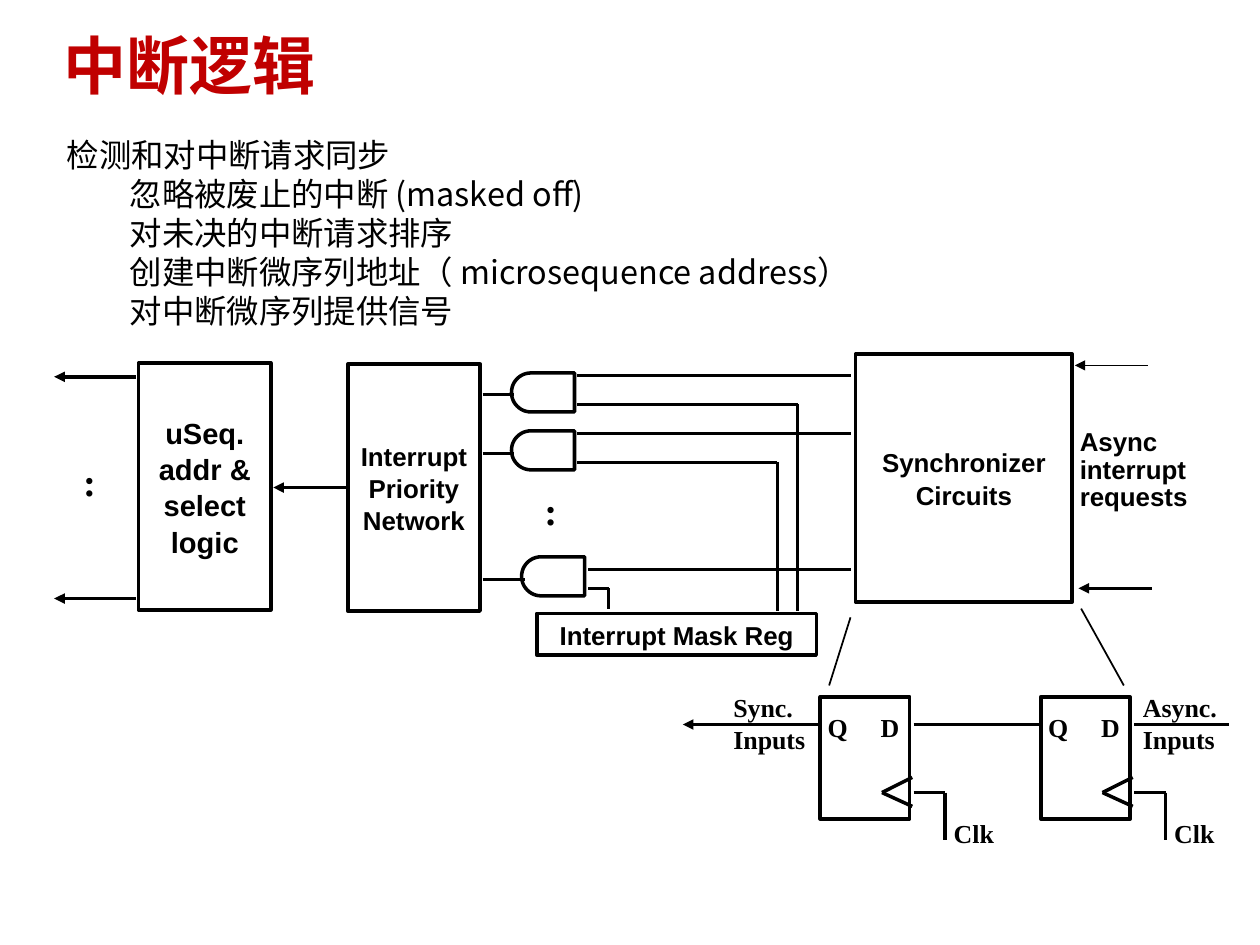
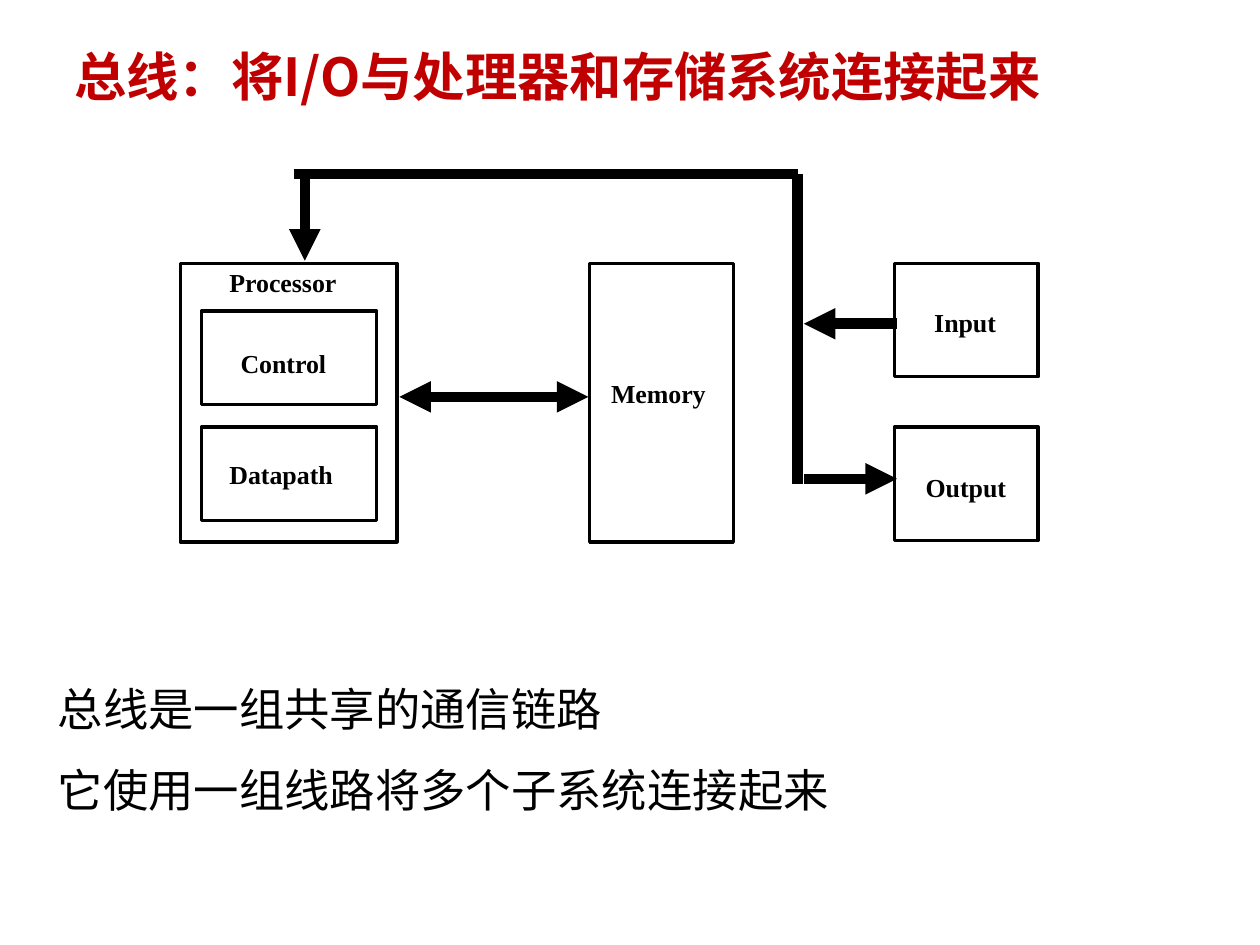
from itertools import pairwise
from math import cos, pi, sin

from pptx import Presentation
from pptx.dml.color import RGBColor
from pptx.enum.shapes import MSO_CONNECTOR, MSO_SHAPE
from pptx.enum.text import MSO_ANCHOR as ANCHOR, MSO_AUTO_SIZE, PP_ALIGN as ALIGN
from pptx.oxml.ns import qn
from pptx.oxml.xmlchemy import OxmlElement
from pptx.util import Pt

COLORS = {"title": "C00000", "ink": "000000"}
CJK, SANS, SERIF = "Noto Sans CJK SC", "Arial", "Times New Roman"
LABEL_SIZE = 14.8
LABEL_INSETS = (6.5, 2.9)
LABEL_HEIGHT = 24.5

# Interrupt logic: frames are (left, top, width, height), wires are point lists
LOGIC_TITLE = ("中断逻辑", 36, (36, 11.5, 263.5, 46))
LOGIC_BODY = [
    "检测和对中断请求同步",
    "忽略被废止的中断 (masked off)",
    "对未决的中断请求排序",
    "创建中断微序列地址（ microsequence address）",
    "对中断微序列提供信号",
]
LOGIC_BLOCKS = [
    (["Synchronizer", "Circuits"], (488.9, 202.3, 123.8, 141.8), LABEL_SIZE),
    (["Interrupt Mask Reg"], (306.7, 350.6, 159.8, 23.8), LABEL_SIZE),
    (["Interrupt", "Priority", "Network"], (198.7, 208.1, 75.6, 141.1), LABEL_SIZE),
    (["uSeq.", "addr &", "select", "logic"], (79.2, 207.4, 75.6, 141.1), 16.6),
]
GATES = [(292.3, 213.1), (292.3, 246.2), (298.1, 318.2)]
GATE_WIDTH, GATE_HEIGHT = 36, 22.3
LOGIC_WIRES = [
    [(329.8, 214.6), (486, 214.6)],
    [(329.8, 247.7), (486, 247.7)],
    [(336.2, 325.4), (486, 325.4)],
    [(329.8, 231.1), (455.8, 231.1), (455.8, 349.2)],
    [(329.8, 264.2), (444.2, 264.2), (444.2, 349.2)],
    [(336.2, 336.2), (347.8, 336.2), (347.8, 347.8)],
    [(275.8, 225.4), (293.8, 225.4)],
    [(275.8, 259.2), (293.8, 259.2)],
    [(275.8, 331.2), (300.2, 331.2)],
    [(522, 414), (594, 414)],
    [(648, 414), (702, 414)],
]
LOGIC_ARROWS = [
    ((655.9, 208.8), (614.2, 208.8), 1),
    ((658.1, 336.2), (616.3, 336.2), 2),
    ((198, 278.6), (156.2, 278.6), 2),
    ((77.8, 215.3), (31, 215.3), 2),
    ((77.8, 342), (31, 342), 2),
    ((468, 414), (390.2, 414), 2),
]
ZOOM_LINES = [
    [(486, 352.8), (473.8, 391.7)],
    [(617.8, 347.8), (642.2, 391.7)],
]
FLIP_FLOP_LEFTS = (468.7, 594.7)
LOGIC_LABELS = [
    (["Async.", "Inputs"], (646.6, 391.7, 56.2, 42.5), LABEL_SIZE),
    (["Sync.", "Inputs"], (412.6, 391.7, 54.7, 42.5), LABEL_SIZE),
    ([":"], (41, 257.8, 20.9, 33.1), 22.1),
    ([":"], (304.6, 274.3, 20.9, 33.1), 22.1),
]
REQUESTS = (["Async", "interrupt", "requests"], (612.7, 243.4, 71.3, 49.7))

# Bus
BUS_TITLE = ("总线：将I/O与处理器和存储系统连接起来", 29.9, (42.5, 22.3, 635, 38.2))
BUS_BODY = ["总线是一组共享的通信链路", "它使用一组线路将多个子系统连接起来"]
# name, frame, label left, label top, label width, alignment
BUS_UNITS = [
    ("Control", (115.2, 177.8, 100.1, 53.3), 131, 195.1, 62.6, ALIGN.LEFT),
    ("Datapath", (115.2, 244.1, 100.1, 53.3), 124.6, 258.5, 72.7, ALIGN.LEFT),
    ("Memory", (337, 150.5, 82.1, 159.1), 342.7, 212.4, 67.7, ALIGN.LEFT),
    ("Processor", (103, 150.5, 123.8, 159.1), 124.6, 149, 74.9, ALIGN.LEFT),
    ("Input", (511.2, 150.5, 82.1, 64.8), 527, 171.4, 49, ALIGN.CENTER),
    ("Output", (511.2, 244.1, 82.1, 64.8), 522, 265.7, 59.8, ALIGN.CENTER),
]
# start, end, ends that carry an arrowhead
BUS_LINES = [
    ((228.2, 226.8), (336.2, 226.8), ("headEnd", "tailEnd")),
    ((167.8, 99.4), (455.8, 99.4), ()),
    ((174.2, 99.4), (174.2, 149), ("tailEnd",)),
    ((512.6, 185), (459.4, 185), ("tailEnd",)),
    ((459.4, 273.6), (512.6, 273.6), ("tailEnd",)),
    ((455.8, 99.4), (455.8, 276.5), ()),
]


def rgb(name):
    return RGBColor.from_string(COLORS[name])


def write(sp, lines, *, size=LABEL_SIZE, font=SERIF, color="ink", bold=True,
          align=ALIGN.LEFT, anchor=ANCHOR.TOP, insets=LABEL_INSETS,
          wrap=False, spacing=1.04, first_spacing=None, indent=0):
    """Fill sp with one paragraph a line; indent applies after the first."""
    tf = sp.text_frame
    tf.auto_size = MSO_AUTO_SIZE.NONE
    tf.word_wrap = wrap
    tf.vertical_anchor = anchor
    tf.margin_left = tf.margin_right = Pt(insets[0])
    tf.margin_top = tf.margin_bottom = Pt(insets[1])
    for i, line in enumerate(lines):
        p = tf.add_paragraph() if i else tf.paragraphs[0]
        p.alignment = align
        p.line_spacing = spacing if i else first_spacing or spacing
        p.space_before = p.space_after = Pt(0)
        if i and indent:
            p.level = 1
            p._p.get_or_add_pPr().set("marL", str(Pt(indent)))
        r = p.add_run()
        r.text = line
        r.font.size, r.font.name, r.font.bold = Pt(size), font, bold
        r.font.color.rgb = rgb(color)
        ea = OxmlElement("a:ea")
        ea.set("typeface", font)
        r._r.get_or_add_rPr().append(ea)


def add_label(slide, lines, frame, **style):
    write(slide.shapes.add_textbox(*map(Pt, frame)), lines, **style)


def add_titled_slide(prs, text, size, frame):
    slide = prs.slides.add_slide(prs.slide_layouts[5])
    title = slide.shapes.title
    title.left, title.top, title.width, title.height = map(Pt, frame)
    write(title, [text], size=size, font=CJK, color="title", insets=(0, 0),
          wrap=True, spacing=Pt(1.3 * size))
    return slide


def add_body(slide, lines, frame, **style):
    add_label(slide, lines, frame, font=CJK, bold=False, insets=(0, 0), wrap=True, **style)


def outline(sp):
    sp.shadow.inherit = False
    sp.fill.background()
    sp.line.color.rgb = rgb("ink")
    sp.line.width = Pt(2)


def add_box(slide, frame):
    sp = slide.shapes.add_shape(MSO_SHAPE.RECTANGLE, *map(Pt, frame))
    outline(sp)
    return sp


def add_line(slide, start, end, width=2, arrows=()):
    c = slide.shapes.add_connector(MSO_CONNECTOR.STRAIGHT, *map(Pt, (*start, *end)))
    c.line.color.rgb = rgb("ink")
    c.line.width = Pt(width)
    spPr = c._element.spPr
    for name in arrows:
        arrow = OxmlElement(f"a:{name}")
        arrow.set("type", "triangle")
        spPr.find(qn("a:ln")).append(arrow)
    spPr.append(OxmlElement("a:effectLst"))


def add_wire(slide, points, width=2):
    for start, end in pairwise(points):
        add_line(slide, start, end, width)


def add_gate(slide, left, top):
    """AND gate with its round side to the left."""
    radius, steps = GATE_HEIGHT / 2, 24
    right, bottom = left + GATE_WIDTH, top + GATE_HEIGHT
    arc = [(left + radius * (1 - sin(pi * i / steps)),
            top + radius * (1 - cos(pi * i / steps))) for i in range(steps + 1)]
    builder = slide.shapes.build_freeform(Pt(right), Pt(top))
    builder.add_line_segments([(Pt(x), Pt(y)) for x, y in [*arc, (right, bottom)]], close=True)
    outline(builder.convert_to_shape())


def add_flip_flop(slide, x):
    add_box(slide, (x, 398.2, 51.1, 69.8))
    add_wire(slide, [(x + 52.6, 444.2), (x + 35.3, 452.9), (x + 52.6, 460.8)])
    add_wire(slide, [(x + 53.3, 452.9), (x + 71.3, 452.9), (x + 71.3, 480.2)])
    for text, dx, top, width in (("Q", -2.2, 403.2, 25.2), ("D", 28.1, 403.2, 23.8),
                                 ("Clk", 69.8, 463.7, 36.7)):
        add_label(slide, [text], (x + dx, top, width, LABEL_HEIGHT))


def build_logic_slide(prs):
    slide = add_titled_slide(prs, *LOGIC_TITLE)
    add_body(slide, LOGIC_BODY, (38.2, 69.8, 645, 133.2), size=18.5,
             spacing=Pt(22.3), first_spacing=Pt(29.5), indent=36)
    for lines, frame, size in LOGIC_BLOCKS:
        write(add_box(slide, frame), lines, size=size, font=SANS,
              align=ALIGN.CENTER, anchor=ANCHOR.MIDDLE)
    for gate in GATES:
        add_gate(slide, *gate)
    for points in LOGIC_WIRES:
        add_wire(slide, points)
    for points in ZOOM_LINES:
        add_wire(slide, points, 1)
    for start, end, width in LOGIC_ARROWS:
        add_line(slide, start, end, width, ("tailEnd",))
    for left in FLIP_FLOP_LEFTS:
        add_flip_flop(slide, left)
    for lines, frame, size in LOGIC_LABELS:
        add_label(slide, lines, frame, size=size)
    add_label(slide, *REQUESTS, font=SANS, insets=(4.3, 2.2), spacing=0.88)


def build_bus_slide(prs):
    slide = add_titled_slide(prs, *BUS_TITLE)
    add_body(slide, BUS_BODY, (33.1, 370.8, 645, 87.8), size=25.9,
             spacing=Pt(46.3), first_spacing=Pt(49.4))
    for name, frame, left, top, width, align in BUS_UNITS:
        add_box(slide, frame)
        add_label(slide, [name], (left, top, width, LABEL_HEIGHT), align=align)
    for start, end, arrows in BUS_LINES:
        add_line(slide, start, end, 6, arrows)


def main():
    prs = Presentation()
    prs.slide_width, prs.slide_height = Pt(720), Pt(540)
    build_logic_slide(prs)
    build_bus_slide(prs)
    prs.save("out.pptx")


if __name__ == "__main__":
    main()
